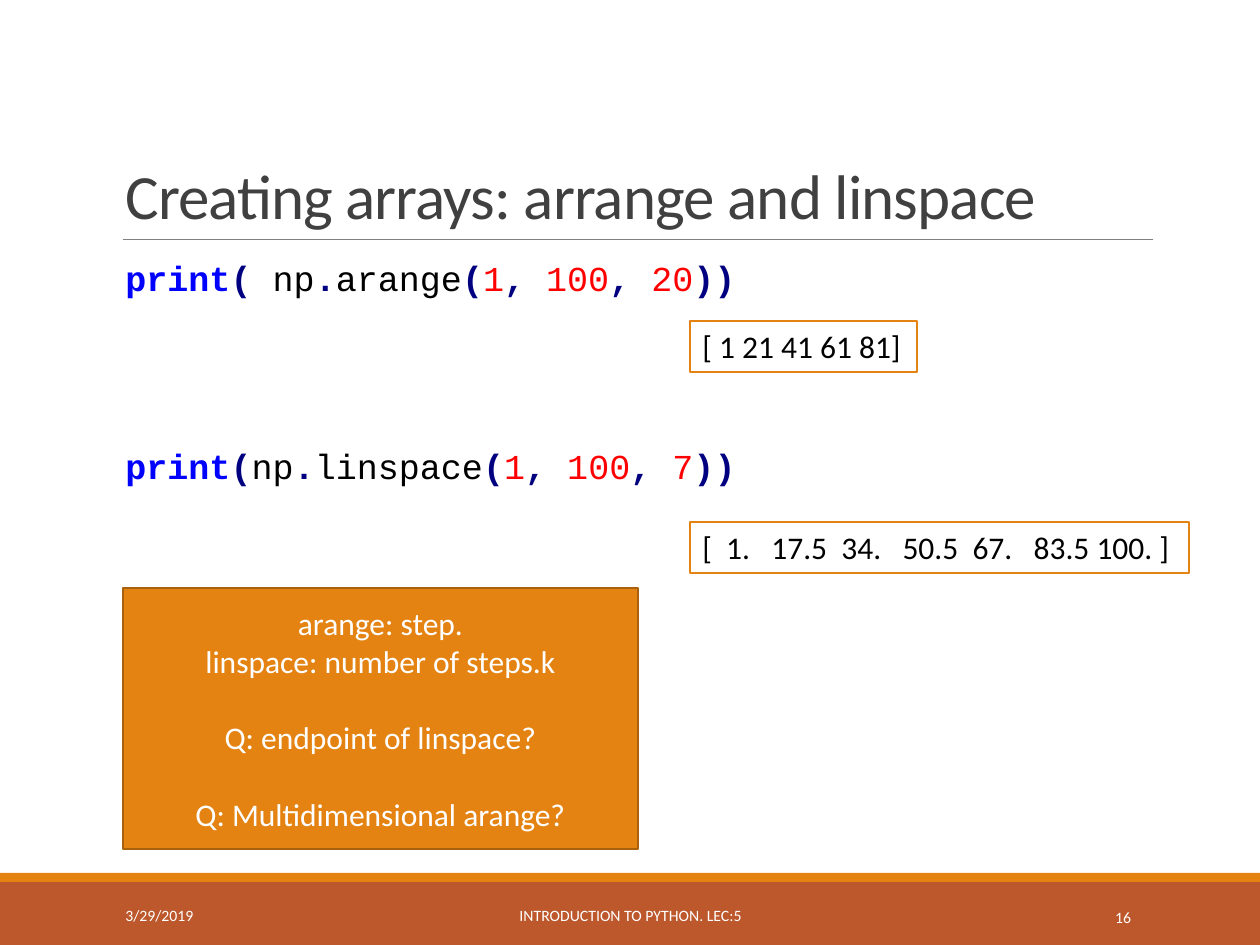
"""Build a slide on creating arrays with arange and linspace."""
from lxml.etree import SubElement
from pptx import Presentation
from pptx.dml.color import RGBColor
from pptx.enum.shapes import MSO_CONNECTOR as CONN, MSO_SHAPE as SHAPE
from pptx.enum.text import MSO_ANCHOR as ANCHOR, PP_ALIGN as ALIGN
from pptx.oxml.ns import qn
from pptx.util import Emu, Pt

PX = 914400 // 126
COLORS = {
    "white": "FFFFFF", "black": "000000", "title": "404040", "rule": "808080",
    "orange": "E48312", "edge": "A9610D", "rust": "BD582C",
    "keyword": "0000FF", "operator": "000080", "number": "FF0000",
}


def px(*values):
    return [Emu(v * PX) for v in values]


def rgb(name):
    return RGBColor.from_string(COLORS[name])


def style(p, size, color, align=ALIGN.LEFT, font="Calibri"):
    p.alignment = align
    p.font.name, p.font.size = font, Pt(size)
    p.font.color.rgb = rgb(color)


def add_text(slide, box, text, size, color, align=ALIGN.LEFT, anchor=ANCHOR.MIDDLE):
    tf = slide.shapes.add_textbox(*px(*box)).text_frame
    tf.word_wrap, tf.vertical_anchor = True, anchor
    p = tf.paragraphs[0]
    p.text = text
    style(p, size, color, align)
    return p


def add_rect(slide, box, fill, line=None):
    sp = slide.shapes.add_shape(SHAPE.RECTANGLE, *px(*box))
    sp.shadow.inherit = False
    sp.fill.solid()
    sp.fill.fore_color.rgb = rgb(fill)
    if line:
        sp.line.color.rgb, sp.line.width = rgb(line), Pt(1.25)
    else:
        sp.line.fill.background()
    return sp


def add_rule(slide, x1, x2, y):
    line = slide.shapes.add_connector(CONN.STRAIGHT, *px(x1, y, x2, y))
    line.line.color.rgb, line.line.width = rgb("rule"), Pt(0.5)
    SubElement(line._element.spPr, qn("a:effectLst"))


def add_title(slide, box, text):
    p = add_text(slide, box, text, 36, "title", anchor=ANCHOR.BOTTOM)
    p.line_spacing = 0.85
    p.runs[0].font._element.set("spc", "-50")


def call_tokens(opening, function, args):
    tokens = [("print", "keyword"), (opening, "operator"), ("np", "black"),
              (".", "operator"), (function, "black"), ("(", "operator")]
    for i, arg in enumerate(args):
        if i:
            tokens += [(",", "operator"), (" ", "black")]
        tokens.append((arg, "number"))
    return tokens + [("))", "operator")]


def add_code(slide, box, calls):
    tf = slide.shapes.add_textbox(*px(*box)).text_frame
    tf.word_wrap = True
    for i, call in enumerate(calls):
        p = tf.add_paragraph() if i else tf.paragraphs[0]
        style(p, 20, "black", font="Courier New")
        p.line_spacing, p.space_after = 0.9, Pt(2)
        p.space_before = Pt(84 if i else 0)
        for text, kind in call_tokens(*call):
            r = p.add_run()
            r.text = text
            r.font.name, r.font.size = "Courier New", Pt(20)
            r.font.bold = kind in ("keyword", "operator")
            r.font.color.rgb = rgb(kind)


def add_output(slide, box, text):
    tf = add_rect(slide, box, "white", "orange").text_frame
    tf.word_wrap, tf.vertical_anchor = False, ANCHOR.TOP
    tf.text = text
    style(tf.paragraphs[0], 18, "black")


def add_questions(slide, box, groups):
    tf = add_rect(slide, box, "orange", "edge").text_frame
    tf.word_wrap, tf.vertical_anchor = True, ANCHOR.MIDDLE
    tf.text = "\n".join("\n".join(group) for group in groups)
    starts = [group[0] for group in groups[1:]]
    for p in tf.paragraphs:
        style(p, 18, "white", ALIGN.CENTER)
        p.space_before = Pt(22 if p.text in starts else 0)


def add_footer(slide):
    add_rect(slide, (0, 882, 1260, 63), "rust")
    add_rect(slide, (0, 873, 1260, 9), "orange")
    add_text(slide, (113, 890, 256, 50), "3/29/2019", 9, "white")
    add_text(slide, (381, 890, 499, 50), "INTRODUCTION TO PYTHON. LEC:5", 9,
             "white", ALIGN.CENTER)
    add_text(slide, (949, 902, 198, 32), "16 ", 9, "white", ALIGN.RIGHT, ANCHOR.TOP)


def main():
    prs = Presentation()
    prs.slide_width, prs.slide_height = px(1260, 945)
    slide = prs.slides.add_slide(prs.slide_layouts[6])
    add_footer(slide)
    add_rule(slide, 123, 1153, 239)
    add_title(slide, (113, 39, 1040, 200), "Creating arrays: arrange and linspace")
    add_code(slide, (113, 255, 1040, 554), [
        ("( ", "arange", ("1", "100", "20")),
        ("(", "linspace", ("1", "100", "7")),
    ])
    add_output(slide, (690, 321, 227, 51), "[ 1 21 41 61 81]")
    add_output(slide, (690, 522, 499, 51), "[  1.   17.5  34.   50.5  67.   83.5 100. ]")
    add_questions(slide, (123, 588, 515, 261), [
        ("arange: step.", "linspace: number of steps.k"),
        ("Q: endpoint of linspace?",),
        ("Q: Multidimensional arange?",),
    ])
    prs.save("out.pptx")


if __name__ == "__main__":
    main()
